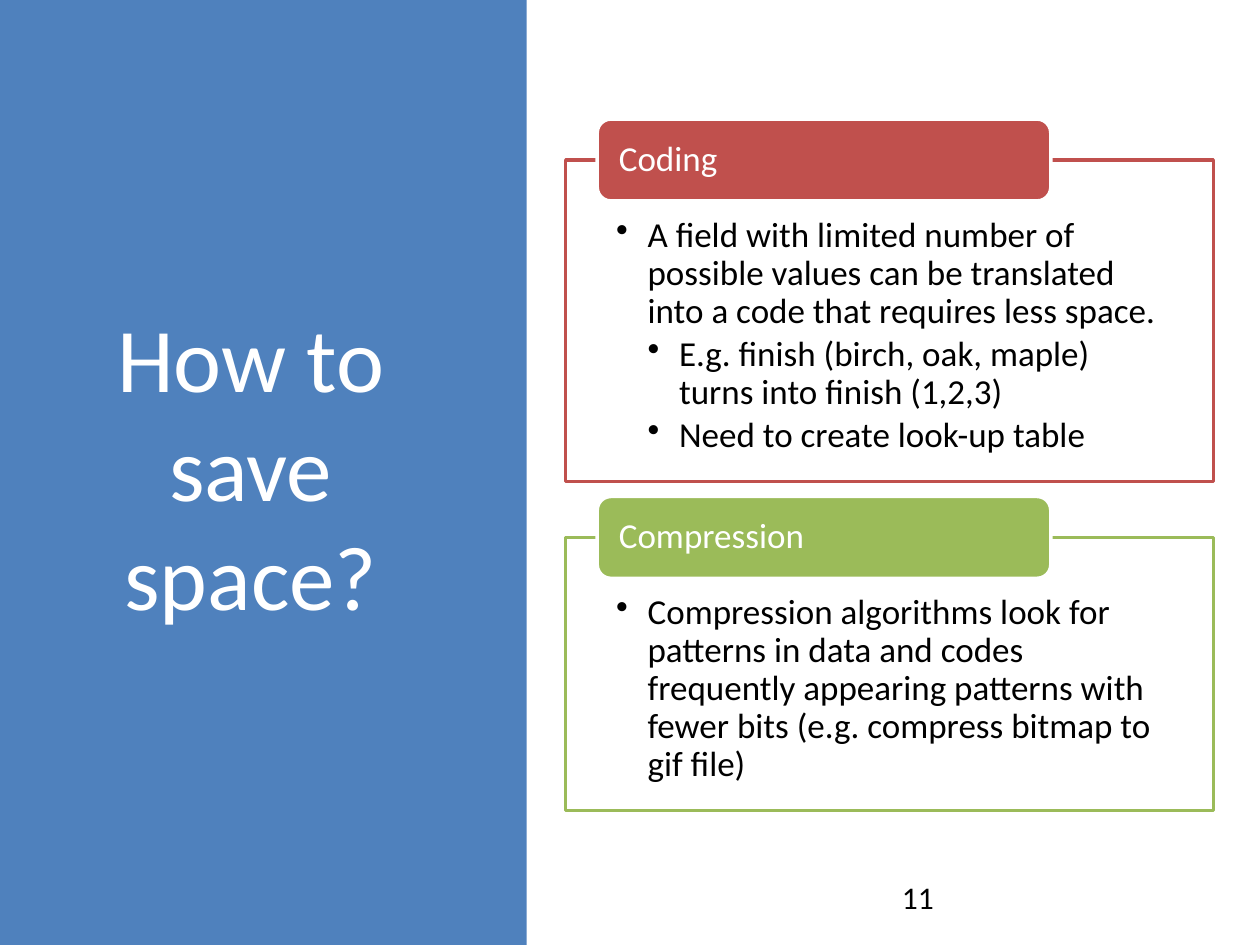
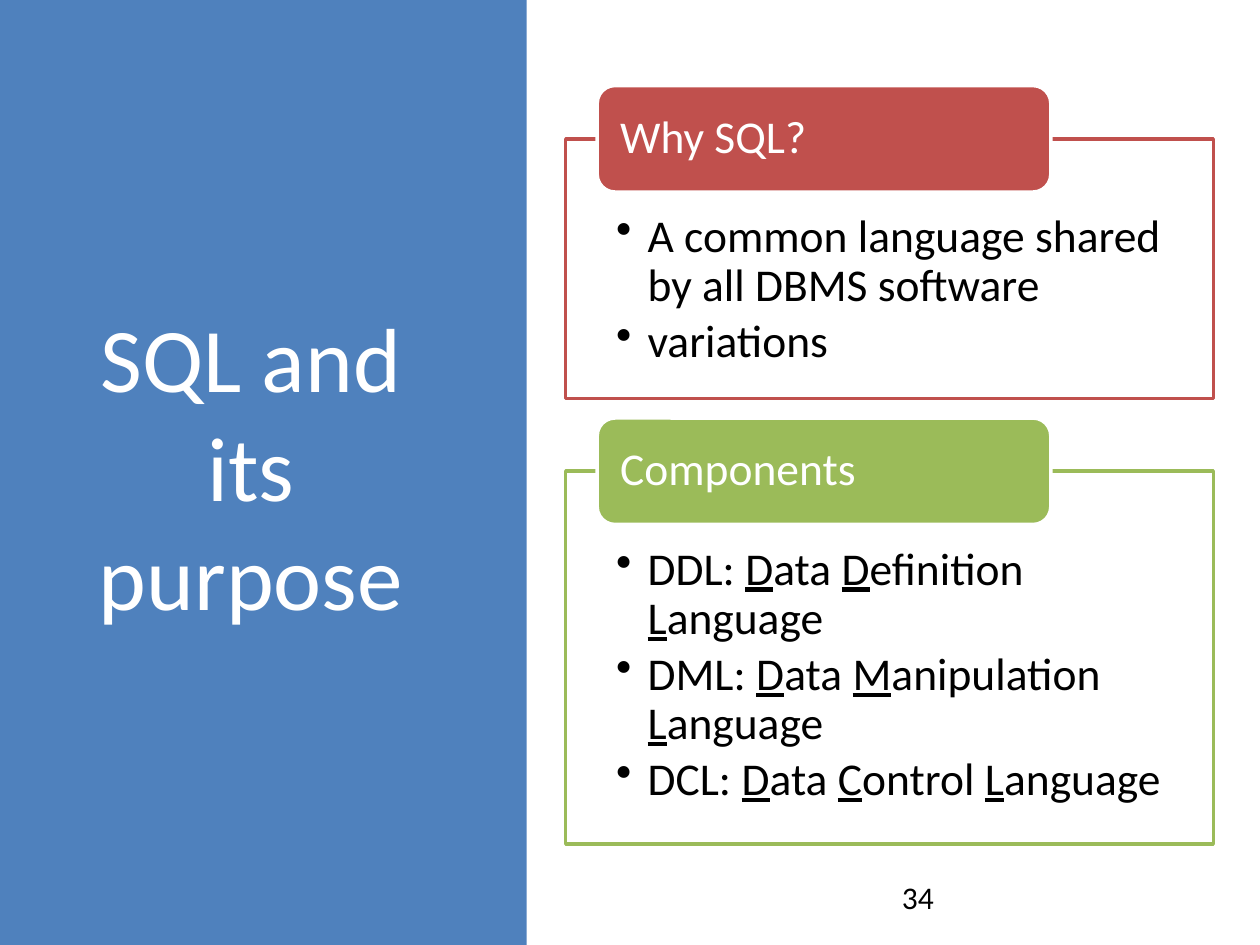
from lxml.etree import SubElement
from pptx import Presentation
from pptx.dml.color import RGBColor
from pptx.enum.shapes import MSO_SHAPE as Shape
from pptx.enum.text import MSO_ANCHOR as Anchor, PP_ALIGN as Align
from pptx.oxml.ns import qn
from pptx.util import Inches, Pt

# Bullets are (level, text); letters between underscores are underlined.
SLIDES = [
    {
        "title": "How to save space?", "number": "11", "size": 20,
        "sections": [
            ("Coding", 2.55, [
                (1, "A field with limited number of possible values can be "
                    "translated into a code that requires less space."),
                (2, "E.g. finish (birch, oak, maple) turns into finish (1,2,3)"),
                (2, "Need to create look-up table"),
            ]),
            ("Compression", 2.17, [
                (1, "Compression algorithms look for patterns in data and codes "
                    "frequently appearing patterns with fewer bits "
                    "(e.g. compress bitmap to gif file)"),
            ]),
        ],
    },
    {
        "title": "SQL and its purpose", "number": "34", "size": 26,
        "sections": [
            ("Why SQL?", 2.06, [
                (1, "A common language shared by all DBMS software"),
                (1, "variations"),
            ]),
            ("Components", 2.96, [
                (1, "DDL: _D_ata _D_efinition _L_anguage"),
                (1, "DML: _D_ata _M_anipulation _L_anguage"),
                (1, "DCL: _D_ata _C_ontrol _L_anguage"),
            ]),
        ],
    },
]

FONT = "Calibri"
WHITE, BLACK, BLUE = "FFFFFF", "000000", "4F81BD"
ACCENTS = ["C0504D", "9BBB59"]

WIDTH, HEIGHT = 10, 7.5
PANEL_WIDTH = 4.18
TITLE_BOX = (0.43, 0.68, 3.12, 6.02)
NUMBER_BOX = (7.06, 6.95, 2.25, 0.4)
FRAME_LEFT, FRAME_WIDTH = 4.49, 5.14
TAB_LEFT, TAB_WIDTH = 4.74, 3.6
STACK_CENTRE = TITLE_BOX[1] + TITLE_BOX[3] / 2
INDENT = 0.25


def color(hex_string):
    return RGBColor.from_string(hex_string)


def inches(*lengths):
    return [Inches(length) for length in lengths]


def style(paragraph, size, hex_string, align=Align.LEFT, spacing=0.9, after=0):
    paragraph.alignment = align
    paragraph.line_spacing = spacing
    paragraph.space_after = Pt(after)
    paragraph.font.name = FONT
    paragraph.font.size = Pt(size)
    paragraph.font.color.rgb = color(hex_string)


def add_box(slide, kind, box, fill, line=None):
    shape = slide.shapes.add_shape(kind, *inches(*box))
    shape.shadow.inherit = False
    shape.fill.solid()
    shape.fill.fore_color.rgb = color(fill)
    if line:
        shape.line.color.rgb = color(line)
        shape.line.width = Pt(2)
    else:
        shape.line.fill.background()
    return shape


def set_insets(frame, left, top, right, bottom):
    frame.margin_left, frame.margin_top, frame.margin_right, frame.margin_bottom = (
        inches(left, top, right, bottom))


def add_bullet(paragraph, level, text, size):
    paragraph.level = level
    properties = paragraph._p.get_or_add_pPr()
    properties.set("marL", str(Inches(INDENT * level)))
    properties.set("indent", str(-Inches(INDENT)))
    SubElement(properties, qn("a:buChar"), char="•")
    style(paragraph, size, BLACK, after=0.15 * size)
    for index, part in enumerate(text.split("_")):
        run = paragraph.add_run()
        run.text = part
        if index % 2:
            run.font.underline = True


def add_section(slide, top, section, accent, size, tab_height):
    """Draw a framed list whose heading tab straddles the frame's top edge."""
    heading, height, bullets = section
    box = (FRAME_LEFT, top + tab_height / 2, FRAME_WIDTH, height)
    frame = add_box(slide, Shape.RECTANGLE, box, WHITE, accent)
    text_frame = frame.text_frame
    text_frame.word_wrap = True
    text_frame.vertical_anchor = Anchor.TOP
    set_insets(text_frame, 0.4, 0.7 * tab_height, 0.4, 0.24 * tab_height)
    for index, (level, text) in enumerate(bullets):
        paragraph = text_frame.add_paragraph() if index else text_frame.paragraphs[0]
        add_bullet(paragraph, level, text, size)

    tab = add_box(slide, Shape.ROUNDED_RECTANGLE,
                  (TAB_LEFT, top, TAB_WIDTH, tab_height), accent, WHITE)
    tab.text_frame.text = heading
    tab.text_frame.vertical_anchor = Anchor.MIDDLE
    set_insets(tab.text_frame, 0.14, 0, 0.14, 0)
    style(tab.text_frame.paragraphs[0], size, WHITE)


def add_sections(slide, sections, size):
    """Stack the sections, centred on the title; tab and gap follow the text size."""
    tab_height, gap = size * 0.65 / 20, size * 0.12 / 20
    heights = [tab_height / 2 + height for _, height, _ in sections]
    top = STACK_CENTRE - (sum(heights) + gap * (len(sections) - 1)) / 2
    for section, height, accent in zip(sections, heights, ACCENTS):
        add_section(slide, top, section, accent, size, tab_height)
        top += height + gap


def add_base(slide, title_text, number):
    """Add what every slide shares: side panel, title and page number."""
    panel = add_box(slide, Shape.RECTANGLE, (0, 0, PANEL_WIDTH, HEIGHT), BLUE)
    title = slide.shapes.title
    title.element.addprevious(panel.element)
    title.left, title.top, title.width, title.height = inches(*TITLE_BOX)
    title.text_frame.text = title_text
    title.text_frame.vertical_anchor = Anchor.MIDDLE
    style(title.text_frame.paragraphs[0], 52, WHITE, Align.CENTER, spacing=1.0)

    number_box = slide.shapes.add_textbox(*inches(*NUMBER_BOX))
    number_box.text_frame.word_wrap = True
    number_box.text_frame.text = number
    style(number_box.text_frame.paragraphs[0], 18, BLACK, after=6)


def main():
    presentation = Presentation()
    presentation.slide_width, presentation.slide_height = inches(WIDTH, HEIGHT)
    title_only = presentation.slide_layouts[5]
    for content in SLIDES:
        slide = presentation.slides.add_slide(title_only)
        add_base(slide, content["title"], content["number"])
        add_sections(slide, content["sections"], content["size"])
    presentation.save("out.pptx")


if __name__ == "__main__":
    main()
